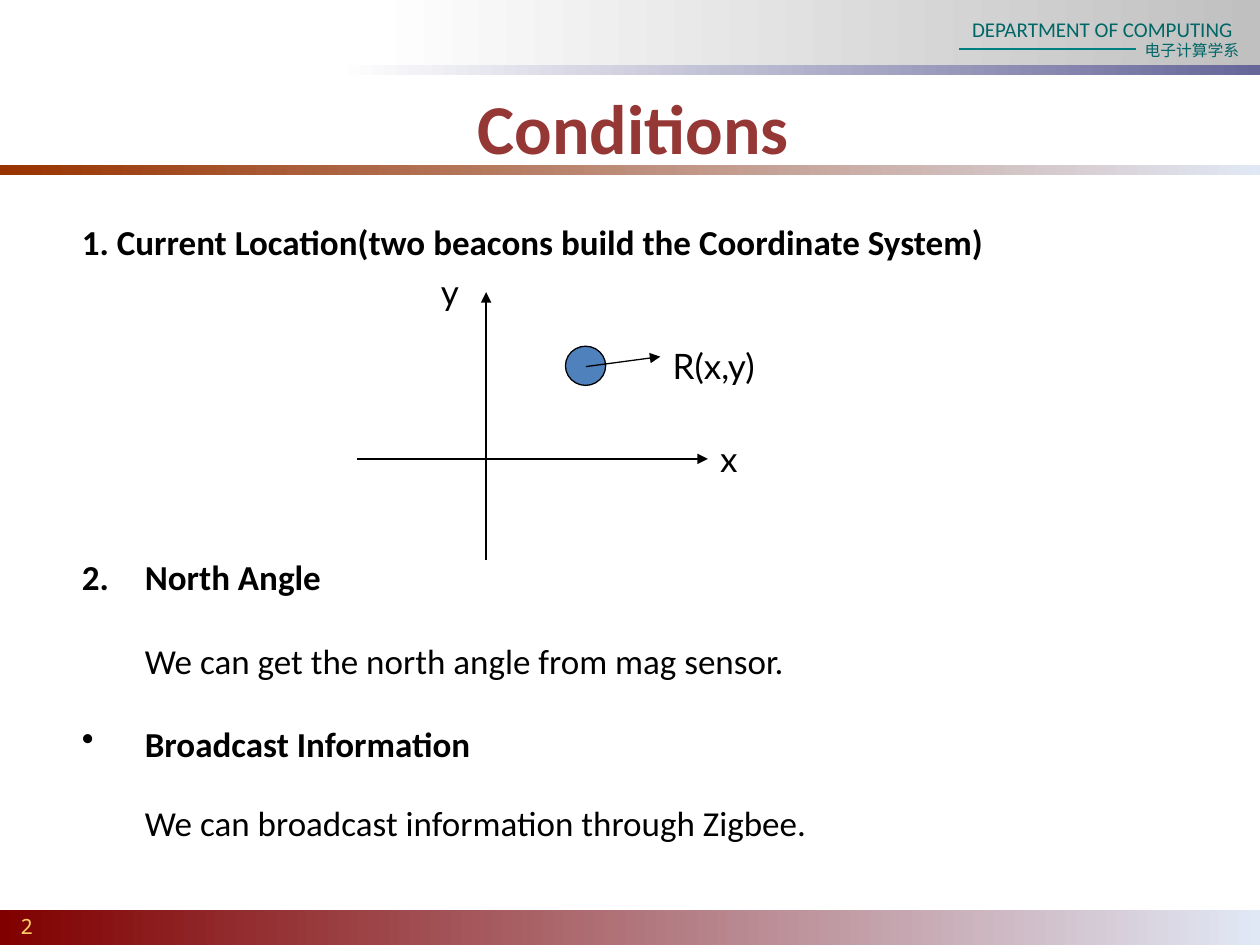
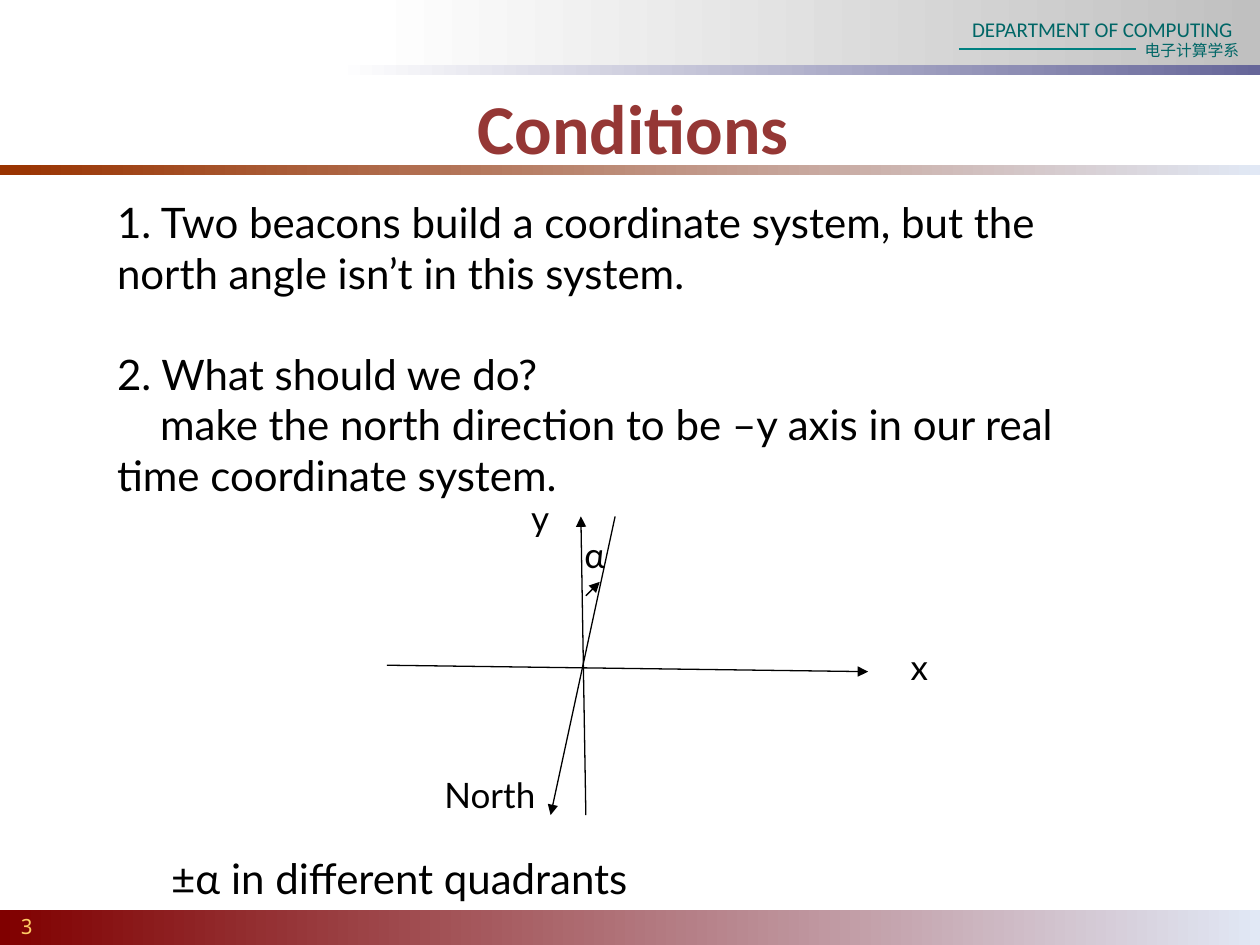
from lxml import etree
from pptx import Presentation
from pptx.dml.color import RGBColor
from pptx.enum.shapes import MSO_CONNECTOR, MSO_SHAPE
from pptx.enum.text import MSO_ANCHOR, PP_ALIGN
from pptx.oxml.ns import qn
from pptx.util import Cm, Pt

BLACK = RGBColor(0, 0, 0)
WHITE = RGBColor(0xFF, 0xFF, 0xFF)
SILVER = RGBColor(0xC0, 0xC0, 0xC0)
SLATE = RGBColor(0x66, 0x66, 0x99)
MAROON = RGBColor(0x80, 0, 0)
RUST = RGBColor(0x99, 0x33, 0)
PALE = RGBColor(0xE1, 0xE8, 0xF5)
GOLD = RGBColor(0xFF, 0xCC, 0x66)
DEEP_TEAL = RGBColor(0, 0x66, 0x66)
TEAL = RGBColor(0, 0x80, 0x80)
BRICK = RGBColor(0x95, 0x37, 0x35)
BLUE = RGBColor(0x4F, 0x81, 0xBD)

# left, top, width, height in cm, then the colours from left to right
BANDS = [
    (0, 18.34, 25.4, 0.71, MAROON, PALE),
    (0, 3.33, 25.4, 0.2, RUST, PALE),
    (7.42, 0, 17.98, 1.32, WHITE, SILVER),
    (6.78, 1.32, 18.62, 0.2, WHITE, SLATE),
]


def add_text(s, text, at=None, tf=None, size=20, font="Lato", color=BLACK, bold=False,
             align=PP_ALIGN.LEFT, anchor=MSO_ANCHOR.TOP, insets=(0.25, 0.13),
             before=0, margin=0, indent=0, bullet=None):
    """Write a paragraph in a new text box at `at`, or append it to `tf`."""
    if tf is None:
        tf = s.shapes.add_textbox(*map(Cm, at)).text_frame
        tf.word_wrap = True
        tf.vertical_anchor = anchor
        tf.margin_left = tf.margin_right = Cm(insets[0])
        tf.margin_top = tf.margin_bottom = Cm(insets[1])
        p = tf.paragraphs[0]
    else:
        p = tf.add_paragraph()
    pPr = p._p.get_or_add_pPr()
    pPr.set("marL", str(Cm(margin)))
    pPr.set("indent", str(Cm(indent)))
    if bullet:
        tag, attributes = bullet
        etree.SubElement(pPr, qn(tag), attributes)
    p.alignment = align
    if before:
        p.space_before = Pt(before)
    r = p.add_run()
    r.text = text
    r.font.size, r.font.name, r.font.bold = Pt(size), font, bold
    r.font.color.rgb = color
    return tf


def add_line(s, x1, y1, x2, y2, color=BLACK, width=0.75, arrow=True):
    c = s.shapes.add_connector(MSO_CONNECTOR.STRAIGHT, Cm(x1), Cm(y1), Cm(x2), Cm(y2))
    c.line.color.rgb = color
    c.line.width = Pt(width)
    if arrow:
        etree.SubElement(c.line._get_or_add_ln(), qn("a:tailEnd"), {"type": "triangle"})
    etree.SubElement(c._element.spPr, qn("a:effectLst"))


prs = Presentation()
prs.slide_width, prs.slide_height = Cm(25.4), Cm(19.05)

# Shared frame: bands, department header, title and page number
slides = []
for number in (2, 3):
    s = prs.slides.add_slide(prs.slide_layouts[6])
    for *box, start, end in BANDS:
        sp = s.shapes.add_shape(MSO_SHAPE.RECTANGLE, *map(Cm, box))
        sp.shadow.inherit = False
        sp.line.fill.background()
        sp.fill.gradient()
        sp.fill.gradient_angle = 0
        for stop, color in zip(sp.fill.gradient_stops, (start, end)):
            stop.color.rgb = color
    add_text(s, str(number), (0.41, 18.42, 1.09, 0.6), size=12, font="Noto Sans Mono",
             color=GOLD, insets=(0, 0))
    add_text(s, "DEPARTMENT OF COMPUTING", (18.9, 0.2, 6.2, 1.27), size=12,
             font="Calibri", color=DEEP_TEAL, align=PP_ALIGN.RIGHT)
    add_line(s, 19.33, 0.99, 22.91, 0.99, color=TEAL, width=1.5, arrow=False)
    add_text(s, "电子计算学系", (22.66, 0.69, 2.57, 0.64), size=9, font="Arial",
             color=DEEP_TEAL, align=PP_ALIGN.RIGHT)
    add_text(s, "Conditions", (0.56, 1.83, 24.41, 1.7), size=40, font="Calibri",
             color=BRICK, bold=True, align=PP_ALIGN.CENTER, anchor=MSO_ANCHOR.BOTTOM)
    slides.append(s)
location, north = slides

# Location, north angle and broadcast
hanging = dict(margin=1.27, indent=-1.27, bold=True, font="Calibri")
detail = dict(margin=1.27, font="Calibri")
tf = add_text(location, "1. Current Location(two beacons build the Coordinate System)",
              (1.4, 4.32, 23.22, 12.9), **hanging)
add_text(location, "North Angle", tf=tf, before=167.5,
         bullet=("a:buAutoNum", {"type": "arabicPeriod", "startAt": "2"}), **hanging)
add_text(location, "We can get the north angle from mag sensor.", tf=tf, before=23.5, **detail)
add_text(location, "Broadcast Information", tf=tf, before=23.5,
         bullet=("a:buChar", {"char": "•"}), **hanging)
add_text(location, "We can broadcast information through Zigbee.", tf=tf, before=21.5, **detail)

add_line(location, 7.19, 9.25, 14.27, 9.25)
add_line(location, 9.8, 11.28, 9.8, 5.89)
robot = location.shapes.add_shape(MSO_SHAPE.OVAL, Cm(11.4), Cm(6.98), Cm(0.81), Cm(0.79))
robot.shadow.inherit = False
robot.fill.solid()
robot.fill.fore_color.rgb = BLUE
robot.line.color.rgb = BLACK
robot.line.width = Pt(0.75)
add_line(location, 11.81, 7.39, 13.31, 7.19)

# North direction in the beacon system
tf = add_text(north, "1. Two beacons build a coordinate system, but the north angle "
              "isn’t in this system.", (2.11, 3.84, 20.6, 14.48), size=24)
add_text(north, "2. What should we do?", tf=tf, size=24, before=29)
add_text(north, "make the north direction to be –y axis in our real time coordinate system.",
         tf=tf, size=24, indent=0.87)
add_text(north, "±α in different quadrants", tf=tf, size=24, before=201.5, indent=1.09)

for ends in [(7.8, 13.41, 17.5, 13.54), (11.81, 16.43, 11.71, 10.41),
             (12.4, 10.41, 11.1, 16.43), (11.81, 12.01, 12.09, 11.73)]:
    add_line(north, *ends)

for s, label, left, top, width in [
    (location, "R(x,y)", 13.31, 6.81, 2.69),
    (location, "x", 14.27, 8.69, 1.22),
    (location, "y", 8.64, 5.33, 1.22),
    (north, "x", 18.11, 12.88, 1.22),
    (north, "y", 10.46, 9.88, 1.22),
    (north, "North", 8.71, 15.47, 2.5),
    (north, "α", 11.53, 10.62, 1.22),
]:
    add_text(s, label, (left, top, width, 1.12))

prs.save("out.pptx")
